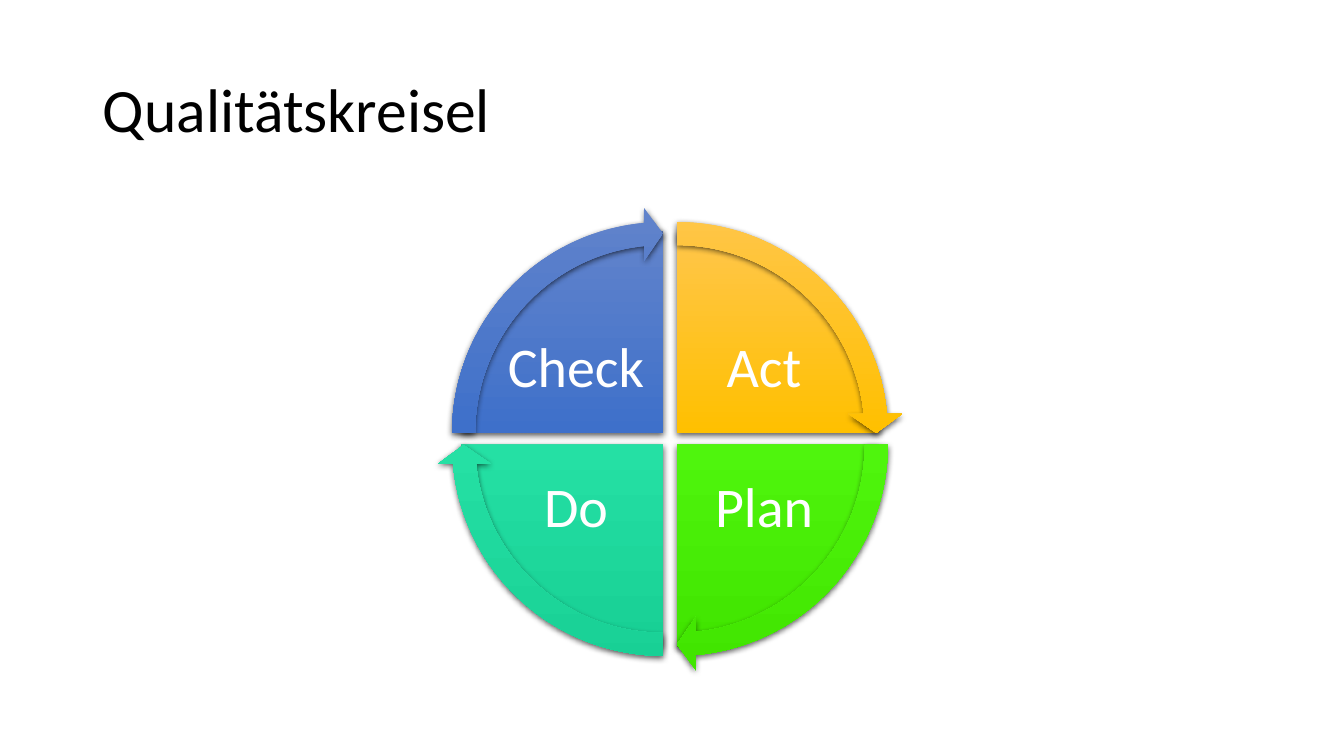
from dataclasses import dataclass

from lxml.etree import SubElement
from pptx import Presentation
from pptx.dml.color import RGBColor
from pptx.enum.shapes import MSO_SHAPE
from pptx.enum.text import MSO_ANCHOR, PP_ALIGN
from pptx.oxml.ns import qn
from pptx.util import Emu, Pt

SCALE = 914400 / 100.8  # EMU in one pixel
ANGLE_UNIT = 0.6        # adjustment value of one degree


@dataclass(frozen=True)
class Theme:
    """Font, type sizes and colours of the slide."""
    font: str = "Calibri"
    title_size: int = 44
    label_size: int = 40
    title_color: str = "000000"
    label_color: str = "FFFFFF"
    act: tuple = ("FFC64B", "FFC000", "E3AB00")
    plan: tuple = ("6BEF4D", "4FF50D", "41E500")
    do: tuple = ("55DDAB", "25E0A4", "18D095")
    check: tuple = ("6183CB", "3E70CA", "3062BB")


THEME = Theme()

CENTER_X, CENTER_Y = 670, 439
GAP_X, GAP_Y = 7, 6  # from the centre of the cycle to each quarter
PIE_SIZE, ARROW_SIZE = 404, 452
LABEL_X, LABEL_Y = 87, 64
LABEL_WIDTH, LABEL_HEIGHT = 149, 110

# label, colours, start angle, side across, side down
PHASES = [
    ("Act", THEME.act, 270, 1, -1),
    ("Plan", THEME.plan, 0, 1, 1),
    ("Do", THEME.do, 90, -1, 1),
    ("Check", THEME.check, 180, -1, -1),
]


def px(pixels):
    """Turn pixels into EMU."""
    return Emu(round(pixels * SCALE))


def around(x, y, width, height):
    """Return left, top, width and height of a frame centred on a point."""
    return px(x - width / 2), px(y - height / 2), px(width), px(height)


def add_text(page, frame, text, size, color, align, inset):
    """Add one line of text, centred from top to bottom in its frame."""
    text_frame = page.shapes.add_textbox(*frame).text_frame
    text_frame.word_wrap = True
    text_frame.vertical_anchor = MSO_ANCHOR.MIDDLE
    text_frame.margin_left = text_frame.margin_right = px(inset)
    text_frame.margin_top = text_frame.margin_bottom = px(min(inset, 6))
    para = text_frame.paragraphs[0]
    para.text = text
    para.alignment = align
    para.line_spacing = 0.9
    para.font.name = THEME.font
    para.font.size = Pt(size)
    para.font.color.rgb = RGBColor.from_string(color)


def add_color(parent, color):
    """Append an RGB colour element and return it."""
    return SubElement(parent, qn("a:srgbClr"), val=color)


def set_gradient(shape, colors):
    """Fill a shape with evenly spaced colours from top to bottom."""
    shape.fill.gradient()
    shape.fill.gradient_angle = 270
    stops = shape.element.spPr.find(qn("a:gradFill")).find(qn("a:gsLst"))
    for stop in list(stops):
        stops.remove(stop)
    for index, color in enumerate(colors):
        position = str(index * 100000 // (len(colors) - 1))
        add_color(SubElement(stops, qn("a:gs"), pos=position), color)


def set_shadow(shape):
    """Give a shape a soft shadow below it."""
    shape.shadow.inherit = False
    effects = shape.element.spPr.find(qn("a:effectLst"))
    shadow = SubElement(effects, qn("a:outerShdw"), blurRad=str(Pt(4.5)),
                        dist=str(Pt(1.5)), dir="5400000", algn="ctr",
                        rotWithShape="0")
    SubElement(add_color(shadow, "000000"), qn("a:alpha"), val="63000")


def add_part(page, kind, frame, adjustments, colors):
    """Add a shaded preset shape without an outline."""
    shape = page.shapes.add_shape(kind, *frame)
    for index, value in enumerate(adjustments):
        shape.adjustments[index] = value
    shape.line.fill.background()
    set_gradient(shape, colors)
    set_shadow(shape)


def add_quarter(page, label, colors, start, across, down):
    """Add one quarter of the cycle and its label."""
    x, y = CENTER_X + across * GAP_X, CENTER_Y + down * GAP_Y
    end = (start + 90) % 360
    add_part(page, MSO_SHAPE.PIE, around(x, y, PIE_SIZE, PIE_SIZE),
             (start * ANGLE_UNIT, end * ANGLE_UNIT), colors)
    frame = around(x + across * LABEL_X, y + down * LABEL_Y,
                   LABEL_WIDTH, LABEL_HEIGHT)
    add_text(page, frame, label, THEME.label_size, THEME.label_color,
             PP_ALIGN.CENTER, 6)


def add_arrow(page, colors, start, across, down):
    """Add the curved arrow along the rim of one quarter."""
    x, y = CENTER_X + across * GAP_X, CENTER_Y + down * GAP_Y
    thickness, head_angle, head_width = 0.051, 3.275, 0.059
    tip = (start + 90) * ANGLE_UNIT - head_angle
    add_part(page, MSO_SHAPE.CIRCULAR_ARROW,
             around(x, y, ARROW_SIZE, ARROW_SIZE),
             (thickness, head_angle, tip, start * ANGLE_UNIT, head_width),
             colors)


def main():
    """Build the slide and save it."""
    deck = Presentation()
    deck.slide_width, deck.slide_height = px(1344), px(756)
    page = deck.slides.add_slide(deck.slide_layouts[6])
    add_text(page, (px(93), px(40), px(1159), px(146)), "Qualitätskreisel",
             THEME.title_size, THEME.title_color, PP_ALIGN.LEFT, 10)
    for phase in PHASES:
        add_quarter(page, *phase)
    for _, *arrow in PHASES:
        add_arrow(page, *arrow)
    deck.save("out.pptx")


main()
